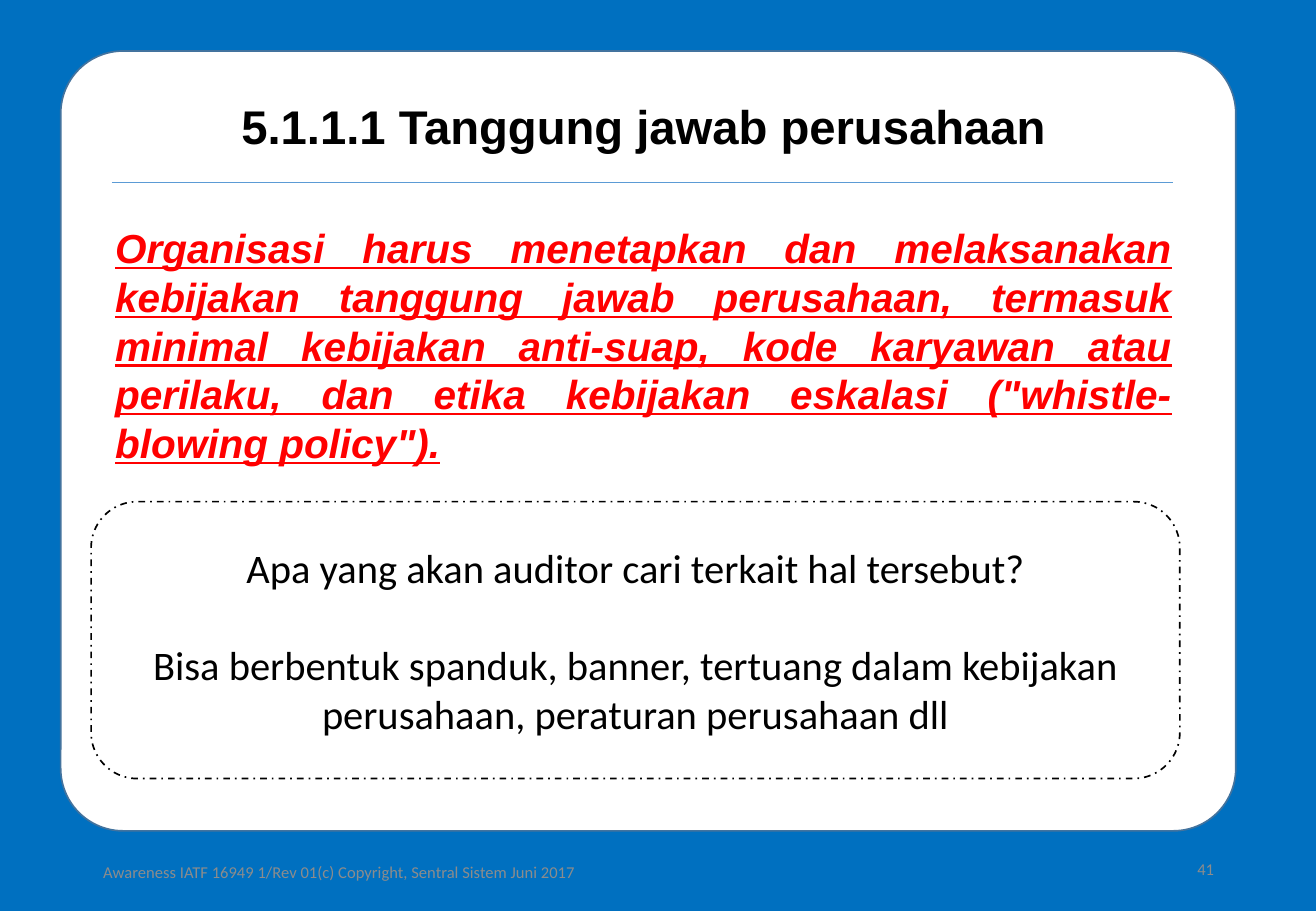
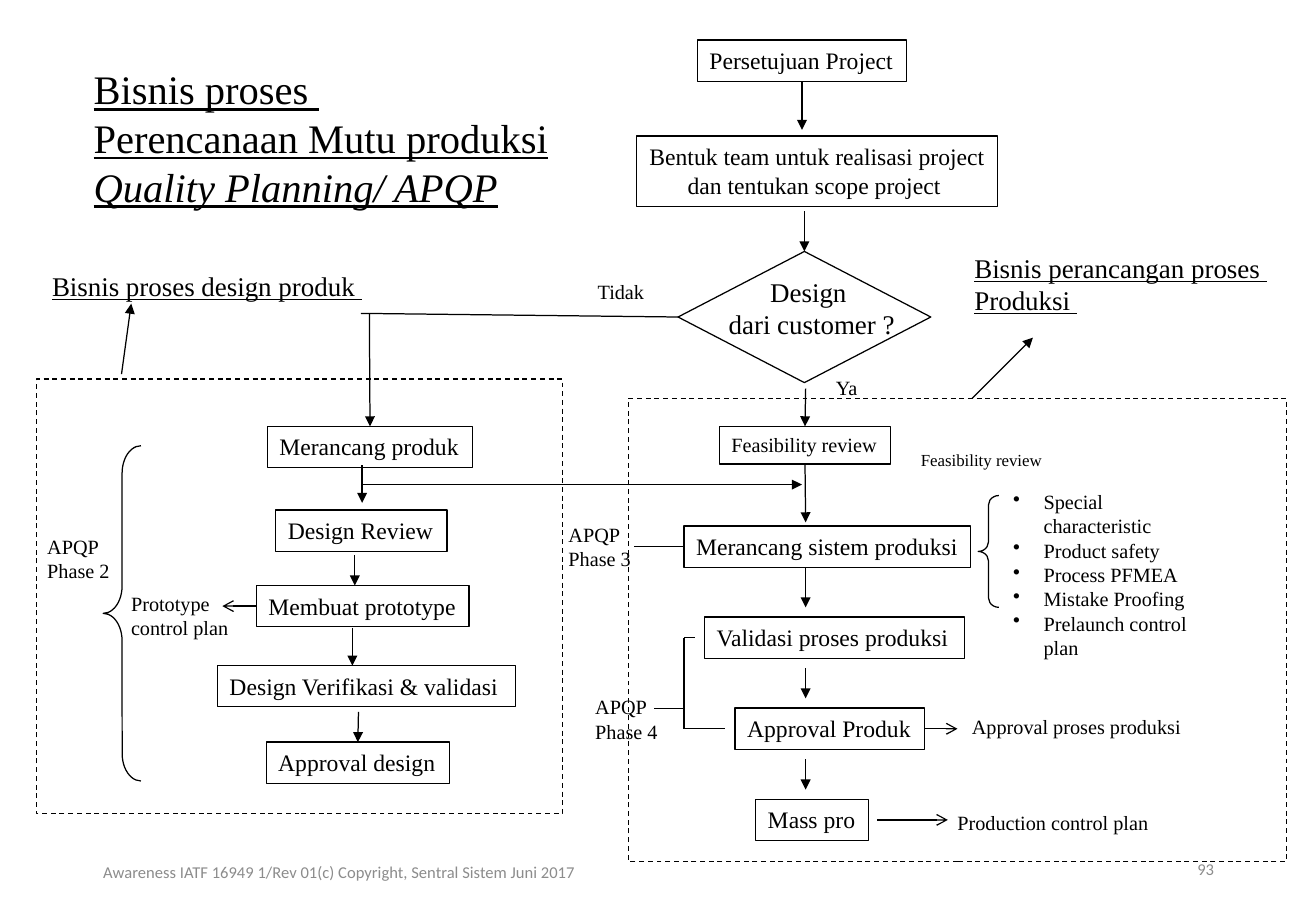
from pptx import Presentation
from pptx.dml.color import RGBColor
from pptx.enum import dml, shapes, text
from pptx.oxml import ns, xmlchemy
from pptx.util import Inches, Pt

COLORS = {"blue": "0070C0", "white": "FFFFFF", "black": "000000", "red": "FF0000",
          "grey": "8C8C8C", "card_edge": "43739E", "rule": "5B9BD5"}
SERIF, SANS, BODY = "Times New Roman", "Arial", "Calibri"
LEFT, CENTER, RIGHT, JUSTIFY = (text.PP_ALIGN.LEFT, text.PP_ALIGN.CENTER,
                                text.PP_ALIGN.RIGHT, text.PP_ALIGN.JUSTIFY)
MIDDLE = text.MSO_ANCHOR.MIDDLE
FORM = shapes.MSO_SHAPE
DASH = dml.MSO_LINE

COPYRIGHT = "Awareness IATF 16949 1/Rev 01(c) Copyright, Sentral Sistem Juni 2017"

DUTY_TITLE = "5.1.1.1 Tanggung jawab perusahaan"
DUTY = ("Organisasi harus menetapkan dan melaksanakan kebijakan tanggung jawab perusahaan, "
        "termasuk minimal kebijakan anti-suap, kode karyawan atau perilaku, dan etika "
        'kebijakan eskalasi ("whistle-blowing policy").')
AUDIT = ["Apa yang akan auditor cari terkait hal tersebut?",
         "Bisa berbentuk spanduk, banner, tertuang dalam kebijakan perusahaan, "
         "peraturan perusahaan dll"]

APQP_TITLE = ["Bisnis proses ", "Perencanaan Mutu produksi", "Quality Planning/ APQP"]

PHASE_FRAMES = [(0.3, 3.12, 4.33, 3.58), (5.17, 3.28, 5.42, 3.81)]

# key: lines, (left, top, width, height), text size
STEPS = {
    "approval": (["Persetujuan Project"], (5.74, 0.33, 1.72, 0.34), 14),
    "team": (["Bentuk team untuk realisasi project", "dan tentukan scope project "],
             (5.24, 1.12, 2.97, 0.58), 14),
    "product": (["Merancang produk"], (2.2, 3.51, 1.69, 0.34), 14),
    "review": (["Design Review"], (2.27, 4.2, 1.41, 0.34), 14),
    "prototype": (["Membuat prototype"], (2.11, 4.82, 1.75, 0.34), 14),
    "verification": (["Design Verifikasi & validasi "], (1.79, 5.48, 2.45, 0.34), 14),
    "design_ok": (["Approval design"], (2.19, 6.11, 1.51, 0.34), 14),
    "feasibility": (["Feasibility review"], (5.92, 3.51, 1.41, 0.31), 12),
    "system": (["Merancang sistem produksi"], (5.63, 4.33, 2.36, 0.34), 14),
    "validation": (["Validasi proses produksi "], (5.8, 5.08, 2.14, 0.34), 14),
    "product_ok": (["Approval Produk"], (6.05, 5.83, 1.56, 0.34), 14),
    "mass": (["Mass pro"], (6.22, 6.58, 0.93, 0.34), 14),
}
DECISION = (5.58, 2.07, 2.08, 1.08)
BRACES = [((8.05, 4.08, 0.17, 0.92), 0.458), ((0.85, 3.67, 0.31, 2.76), 0.731)]

# lines, (left, top, width, height), text size
LABELS = [
    (["Prototype", "control plan"], (0.98, 4.82, 1.05, 0.5), 12),
    (["APQP", "Phase 2"], (0.29, 4.35, 0.72, 0.5), 12),
    (["APQP", "Phase 3"], (4.58, 4.25, 0.72, 0.5), 12),
    (["APQP", "Phase 4"], (4.8, 5.67, 0.72, 0.5), 12),
    (["Tidak"], (4.82, 2.25, 0.59, 0.3), 12),
    (["Ya"], (6.78, 3.04, 0.4, 0.3), 12),
    (["Approval proses produksi"], (7.9, 5.83, 1.93, 0.3), 12),
    (["Production control plan"], (7.78, 6.62, 1.82, 0.3), 12),
    (["Feasibility review"], (7.48, 3.65, 1.2, 0.27), 10),
]
HEADINGS = [
    (["Bisnis proses design produk "], (0.33, 2.17, 2.76, 0.37), 16),
    (["Bisnis perancangan proses ", "Produksi "], (7.92, 2.02, 2.62, 0.64), 16),
]
QUESTION = (["Design ", "dari customer ?"], (5.89, 2.22, 1.58, 0.64), 16)
PLANS = ["Special characteristic", "Product safety", "Process PFMEA",
         "Mistake Proofing", "Prelaunch control plan"]

# An end is a point, or a step with one of its sides
TOP, SIDE_LEFT, BOTTOM, SIDE_RIGHT = range(4)
LINKS = {
    "triangle": [
        (("approval", BOTTOM), (6.6, 1.07)),
        ((6.62, 1.74), ("decision", TOP)),
        ((6.63, 3.2), ("feasibility", TOP)),
        (("feasibility", BOTTOM), (6.63, 4.3)),
        ((6.63, 4.67), (6.63, 5)),
        ((6.63, 5.5), (6.63, 5.75)),
        ((6.63, 6.25), (6.63, 6.5)),
        ((3.04, 2.58), ("product", TOP)),
        ((2.98, 3.83), (2.98, 4.14)),
        ((2.92, 4.57), (2.92, 4.82)),
        ((2.9, 5.17), (2.9, 5.48)),
        ((2.95, 5.86), ("design_ok", TOP)),
        ((2.98, 3.99), (6.6, 3.99)),
        ((1, 3.08), (1.08, 2.5)),
        ((8, 3.28), (8.5, 2.78)),
    ],
    "arrow": [
        (("prototype", SIDE_LEFT), (1.83, 4.99)),
        (("product_ok", SIDE_RIGHT), (7.88, 6)),
        ((7.22, 6.75), (7.8, 6.75)),
    ],
    None: [
        (("decision", SIDE_LEFT), (2.97, 2.58)),
        (("system", SIDE_LEFT), (5.22, 4.5)),
        ((5.63, 5.25), (5.63, 6)),
        ((5.63, 6), (5.97, 6)),
        ((5.63, 5.25), (5.72, 5.25)),
        ((5.63, 5.83), (5.38, 5.83)),
    ],
}


def rgb(name):
    return RGBColor.from_string(COLORS[name])


def write(frame, lines, size, font=SERIF, color="black", align=LEFT, gap=0, bullet=False,
          bold=None, italic=None, underline=None):
    for i, line in enumerate(lines):
        paragraph = frame.add_paragraph() if i else frame.paragraphs[0]
        if bullet:
            props = paragraph._p.get_or_add_pPr()
            props.set("marL", str(Inches(0.25)))
            props.set("indent", str(-Inches(0.25)))
            mark = xmlchemy.OxmlElement("a:buChar")
            mark.set("char", "•")
            props.append(mark)
        paragraph.alignment = align
        if i and gap:
            paragraph.space_before = Pt(gap)
        run = paragraph.add_run()
        run.text = line
        run.font.name, run.font.size = font, Pt(size)
        run.font.bold, run.font.italic, run.font.underline = bold, italic, underline
        run.font.color.rgb = rgb(color)


def add_label(slide, lines, place, size, wrap=False, anchor=text.MSO_ANCHOR.TOP, **style):
    frame = slide.shapes.add_textbox(*map(Inches, place)).text_frame
    frame.word_wrap, frame.vertical_anchor = wrap, anchor
    write(frame, lines, size, **style)


def add_outline(slide, form, place, fill=None, edge="black", width=0.75, dash=None):
    shape = slide.shapes.add_shape(form, *map(Inches, place))
    shape.shadow.inherit = False
    if fill:
        shape.fill.solid()
        shape.fill.fore_color.rgb = rgb(fill)
    else:
        shape.fill.background()
    shape.line.color.rgb = rgb(edge)
    shape.line.width = Pt(width)
    if dash:
        shape.line.dash_style = dash
    return shape


def add_link(slide, start, end, head=None, color="black", width=0.75, steps=None):
    points = [(0, 0) if isinstance(stop[0], str) else stop for stop in (start, end)]
    link = slide.shapes.add_connector(shapes.MSO_CONNECTOR.STRAIGHT,
                                      *(Inches(v) for point in points for v in point))
    for stop, join in ((start, link.begin_connect), (end, link.end_connect)):
        if isinstance(stop[0], str):
            join(steps[stop[0]], stop[1])
    link.line.color.rgb = rgb(color)
    link.line.width = Pt(width)
    props = link.element.spPr
    if head:
        tail = xmlchemy.OxmlElement("a:tailEnd")
        tail.set("type", head)
        props.find(ns.qn("a:ln")).append(tail)
    props.append(xmlchemy.OxmlElement("a:effectLst"))


def add_page(deck, background, number, title_place):
    """Add a title-only slide with its background and footer; return it and its title."""
    slide = deck.slides.add_slide(deck.slide_layouts[5])
    slide.background.fill.solid()
    slide.background.fill.fore_color.rgb = rgb(background)
    title = slide.shapes.title
    title.left, title.top, title.width, title.height = map(Inches, title_place)
    frame = title.text_frame
    frame.word_wrap, frame.auto_size = True, text.MSO_AUTO_SIZE.NONE
    frame.vertical_anchor = text.MSO_ANCHOR.TOP
    for line, place, align in ((number, (7.65, 6.95, 2.44, 0.4), RIGHT),
                               (COPYRIGHT, (0.33, 6.98, 4.92, 0.4), CENTER)):
        add_label(slide, [line], place, 9.8, wrap=True, anchor=MIDDLE,
                  font=BODY, color="grey", align=align)
    return slide, title


def build_duty(deck):
    slide, title = add_page(deck, "blue", "41", (1.12, 0.75, 8.35, 0.57))
    card = add_outline(slide, FORM.ROUNDED_RECTANGLE, (0.5, 0.42, 9.67, 6.42),
                       fill="white", edge="card_edge", width=1)
    card.adjustments[0] = 0.08
    title.element.addprevious(card.element)  # the card lies behind the title
    write(title.text_frame, [DUTY_TITLE], 28, font=SANS, align=CENTER, bold=True)
    add_link(slide, (0.92, 1.5), (9.65, 1.5), color="rule", width=0.5)
    add_label(slide, [DUTY], (0.85, 1.79, 8.89, 2.12), 24, wrap=True, font=SANS, color="red",
              align=JUSTIFY, bold=True, italic=True, underline=True)
    audit = add_outline(slide, FORM.ROUNDED_RECTANGLE, (0.75, 4.13, 8.96, 2.28),
                        width=1, dash=DASH.DASH_DOT)
    audit.text_frame.word_wrap = True
    audit.text_frame.vertical_anchor = MIDDLE
    write(audit.text_frame, AUDIT, 24, font=BODY, align=CENTER, gap=29)


def build_apqp(deck):
    slide, title = add_page(deck, "white", "93", (0.67, 0.48, 4.2, 1.3))
    write(title.text_frame, APQP_TITLE, 24, underline=True)
    title.text_frame.paragraphs[-1].runs[0].font.italic = True

    for place in PHASE_FRAMES:
        add_outline(slide, FORM.RECTANGLE, place, dash=DASH.DASH)
    steps = {"decision": add_outline(slide, FORM.DIAMOND, DECISION)}
    for key, (lines, place, size) in STEPS.items():
        steps[key] = add_outline(slide, FORM.RECTANGLE, place)
        frame = steps[key].text_frame
        frame.word_wrap, frame.vertical_anchor = False, text.MSO_ANCHOR.TOP
        write(frame, lines, size, align=CENTER if len(lines) > 1 else LEFT)
    for place, curve in BRACES:
        add_outline(slide, FORM.LEFT_BRACE, place).adjustments[0] = curve

    for label in LABELS:
        add_label(slide, *label)
    for heading in HEADINGS:
        add_label(slide, *heading, underline=True)
    add_label(slide, *QUESTION, align=CENTER)
    add_label(slide, PLANS, (8.24, 3.98, 1.7, 1.5), 12, wrap=True, bullet=True)

    for head, links in LINKS.items():
        for start, end in links:
            add_link(slide, start, end, head, steps=steps)


def main():
    deck = Presentation()
    deck.slide_width, deck.slide_height = Inches(10.83), Inches(7.5)
    build_duty(deck)
    build_apqp(deck)
    deck.save("out.pptx")


if __name__ == "__main__":
    main()
